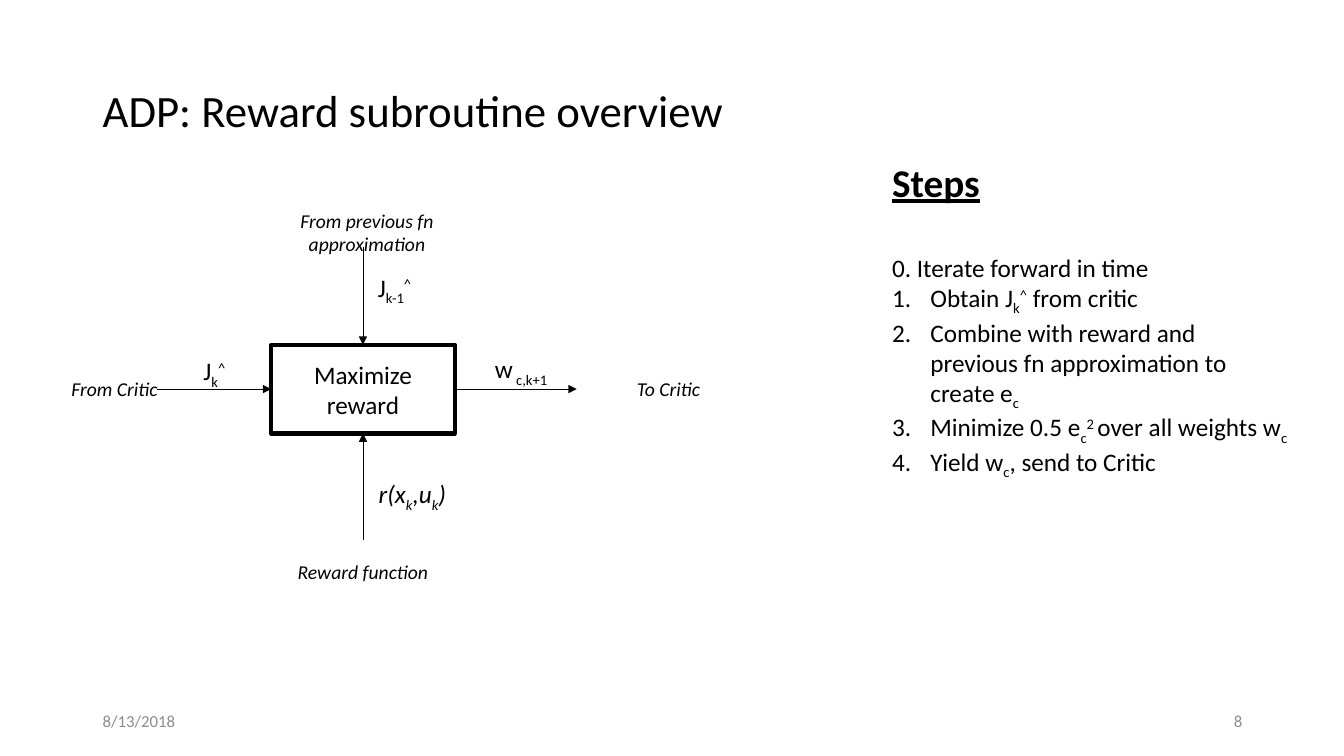
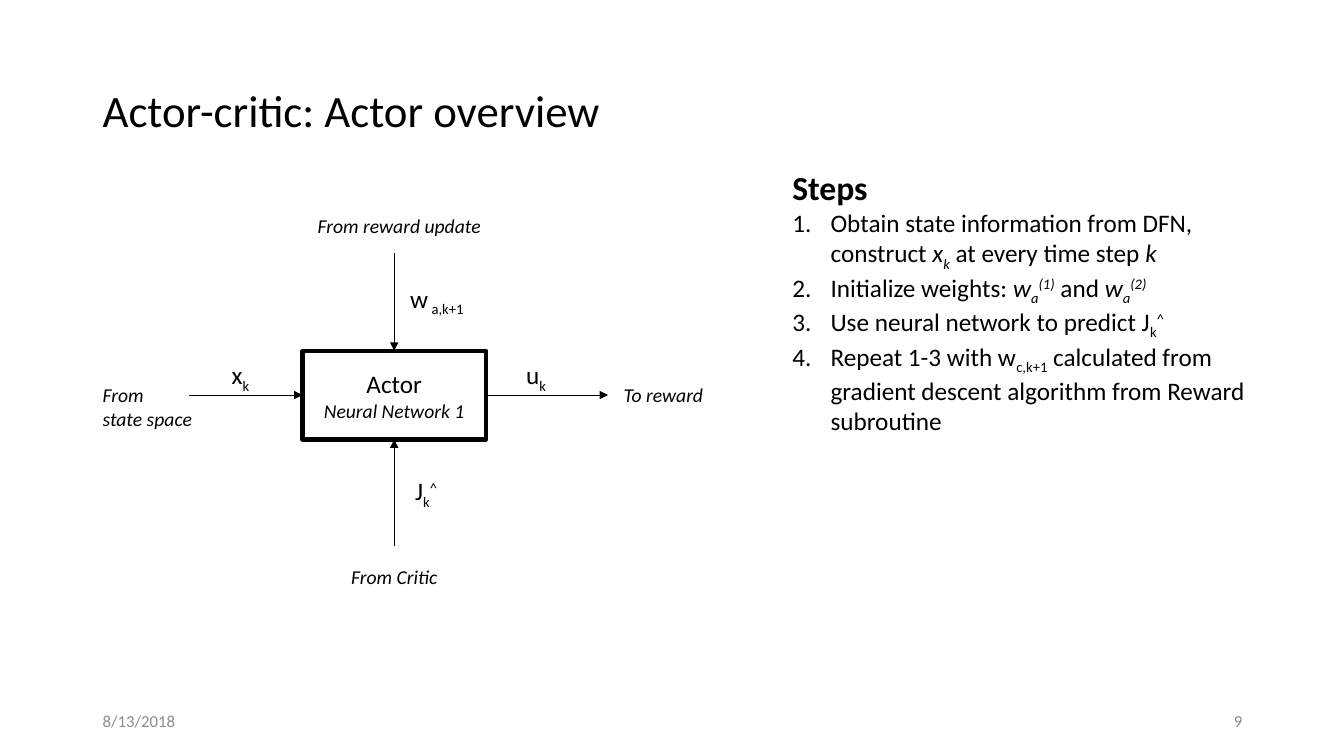
from lxml import etree
from pptx import Presentation
from pptx.dml.color import RGBColor
from pptx.enum import shapes, text
from pptx.oxml import ns
from pptx.util import Inches, Pt

COLORS = {"ink": "000000", "paper": "FFFFFF", "footer": "8C8C8C"}
FONT = "Calibri"
LEFT, CENTER, RIGHT = text.PP_ALIGN.LEFT, text.PP_ALIGN.CENTER, text.PP_ALIGN.RIGHT
BASELINES = {"_": "-25000", "^": "30000"}
BOX_WIDTH, BOX_HEIGHT = 1.82, 0.88


def write(frame, markup, size, align=LEFT, color="ink"):
    """Runs are split by |; a leading / is italic, then _ lowers and ^ raises."""
    for index, line in enumerate(markup.split("\n")):
        paragraph = frame.add_paragraph() if index else frame.paragraphs[0]
        paragraph.alignment = align
        for segment in line.split("|"):
            run = paragraph.add_run()
            italic = segment.startswith("/")
            segment = segment[1:] if italic else segment
            if segment[0] in BASELINES:
                run._r.get_or_add_rPr().set("baseline", BASELINES[segment[0]])
                segment = segment[1:]
            run.text = segment
            run.font.name, run.font.size = FONT, Pt(size)
            run.font.italic = italic
            run.font.color.rgb = RGBColor.from_string(COLORS[color])


def add_text(slide, place, markup, size, align=LEFT, wrap=True, color="ink", middle=False):
    frame = slide.shapes.add_textbox(*map(Inches, place)).text_frame
    frame.word_wrap = wrap
    if middle:
        frame.vertical_anchor = text.MSO_ANCHOR.MIDDLE
    else:
        frame.auto_size = text.MSO_AUTO_SIZE.SHAPE_TO_FIT_TEXT
    write(frame, markup, size, align, color)
    return frame


# Captions name the ends of the arrows, signals are the symbols beside them
SLIDES = [
    {
        "title": "ADP: Reward subroutine overview",
        "number": "8",
        "box": (2.69, 3.42, "Maximize reward"),
        "captions": [
            ("/From Critic", (0.61, 3.69, 1.07, 0.34), LEFT, False),
            ("/From previous fn approximation", (2.7, 2.02, 1.88, 0.57), CENTER, True),
            ("/Reward function", (2.66, 5.51, 1.88, 0.34), CENTER, True),
            ("/To Critic", (5.69, 3.69, 1.88, 0.34), CENTER, True),
        ],
        "signals": [
            ("J|_k|^^", (1.92, 3.48, 0.44, 0.4), LEFT, False),
            ("w|_ c,k+1", (4.81, 3.46, 0.78, 0.4), LEFT, False),
            ("J|_k-1|^^", (3.65, 2.65, 0.58, 0.4), LEFT, False),
            ("/r(x|/_k|/,u|/_k|/)", (3.44, 4.7, 1.3, 0.4), CENTER, True),
        ],
        "steps_place": (8.75, 1.52, 4.13, 4.04),
        "heading": {"size": 28, "underline": True, "gap": 33.6},
        "first_numbered": 2,
        "steps": [
            "0. Iterate forward in time",
            "Obtain J|_k|^^| from critic",
            "Combine with reward and previous fn approximation to create e|_c",
            "Minimize 0.5 e|_c|^2 |over all weights w|_c",
            "Yield w|_c|, send to Critic",
        ],
    },
    {
        "title": "Actor-critic: Actor overview",
        "number": "9",
        "box": (3, 3.48, "Actor\n/Neural Network 1"),
        "captions": [
            ("/From\n/state space", (0.92, 3.75, 1.17, 0.57), LEFT, True),
            ("/From reward update", (3.02, 2.07, 1.88, 0.34), CENTER, True),
            ("/From Critic", (2.97, 5.56, 1.88, 0.34), CENTER, True),
            ("/To reward", (5.64, 3.75, 1.88, 0.34), CENTER, True),
        ],
        "signals": [
            ("x|_k", (2.2, 3.52, 0.39, 0.4), LEFT, False),
            ("u|_k", (5.12, 3.52, 0.41, 0.4), LEFT, False),
            ("w|_ a,k+1", (3.97, 2.76, 0.79, 0.4), LEFT, False),
            ("J|_k|^^", (4.02, 4.67, 0.6, 0.4), LEFT, True),
        ],
        "steps_place": (7.76, 1.61, 4.77, 3.2),
        "heading": {"size": 24, "underline": False, "gap": 0},
        "first_numbered": 1,
        "steps": [
            "Obtain state information from DFN, construct |/x|/_k| at every time step |/k",
            "Initialize weights: |/w|/_a|/^(1)| and |/w|/_a|/^(2)",
            "Use neural network to predict J|_k|^^",
            "Repeat 1-3 with w|_c,k+1| calculated from gradient descent algorithm "
            "from Reward subroutine",
        ],
    },
]

presentation = Presentation()
presentation.slide_width, presentation.slide_height = Inches(13.33), Inches(7.5)

for content in SLIDES:
    slide = presentation.slides.add_slide(presentation.slide_layouts[6])

    # Title and footer
    title = add_text(slide, (0.92, 0.4, 11.5, 1.45), content["title"], 32, middle=True)
    title.paragraphs[0].line_spacing = 0.9
    add_text(slide, (0.92, 6.95, 3, 0.4), "8/13/2018", 12, color="footer", middle=True)
    add_text(slide, (9.42, 6.95, 3, 0.4), content["number"], 12, RIGHT,
             color="footer", middle=True)

    # Central box
    left, top, label = content["box"]
    box = slide.shapes.add_shape(shapes.MSO_SHAPE.RECTANGLE, Inches(left), Inches(top),
                                 Inches(BOX_WIDTH), Inches(BOX_HEIGHT))
    box.shadow.inherit = False
    box.fill.solid()
    box.fill.fore_color.rgb = RGBColor.from_string(COLORS["paper"])
    box.line.color.rgb = RGBColor.from_string(COLORS["ink"])
    box.line.width = Pt(3)
    box.text_frame.vertical_anchor = text.MSO_ANCHOR.MIDDLE
    write(box.text_frame, label, 18, CENTER)
    for paragraph in box.text_frame.paragraphs[1:]:
        paragraph.runs[0].font.size = Pt(14)

    # Arrows: three into the box, one out to the right
    right, bottom = left + BOX_WIDTH, top + BOX_HEIGHT
    center, middle = left + BOX_WIDTH / 2, top + BOX_HEIGHT / 2
    for ends in [
        (left - 1.13, middle, left, middle),
        (right, middle, right + 1.21, middle),
        (center, top - 0.97, center, top),
        (center, bottom + 1.06, center, bottom),
    ]:
        arrow = slide.shapes.add_connector(shapes.MSO_CONNECTOR.STRAIGHT, *map(Inches, ends))
        arrow.line.color.rgb = RGBColor.from_string(COLORS["ink"])
        arrow.line.width = Pt(0.5)
        etree.SubElement(arrow.line._get_or_add_ln(), ns.qn("a:tailEnd"), type="triangle")
        etree.SubElement(arrow._element.spPr, ns.qn("a:effectLst"))

    # Captions and signals
    for group, size in (("captions", 14), ("signals", 18)):
        for markup, place, align, wrap in content[group]:
            add_text(slide, place, markup, size, align, wrap)

    # Numbered steps
    steps = add_text(slide, content["steps_place"], "\n".join(["Steps"] + content["steps"]), 18)
    heading = steps.paragraphs[0]
    heading.space_after = Pt(content["heading"]["gap"])
    font = heading.runs[0].font
    font.size, font.bold = Pt(content["heading"]["size"]), True
    font.underline = content["heading"]["underline"]
    for paragraph in steps.paragraphs[content["first_numbered"]:]:
        properties = paragraph._p.get_or_add_pPr()
        properties.set("marL", str(Inches(0.38)))
        properties.set("indent", str(-Inches(0.38)))
        etree.SubElement(properties, ns.qn("a:buFont"), typeface="+mj-lt")
        etree.SubElement(properties, ns.qn("a:buAutoNum"), type="arabicPeriod")

presentation.save("out.pptx")
